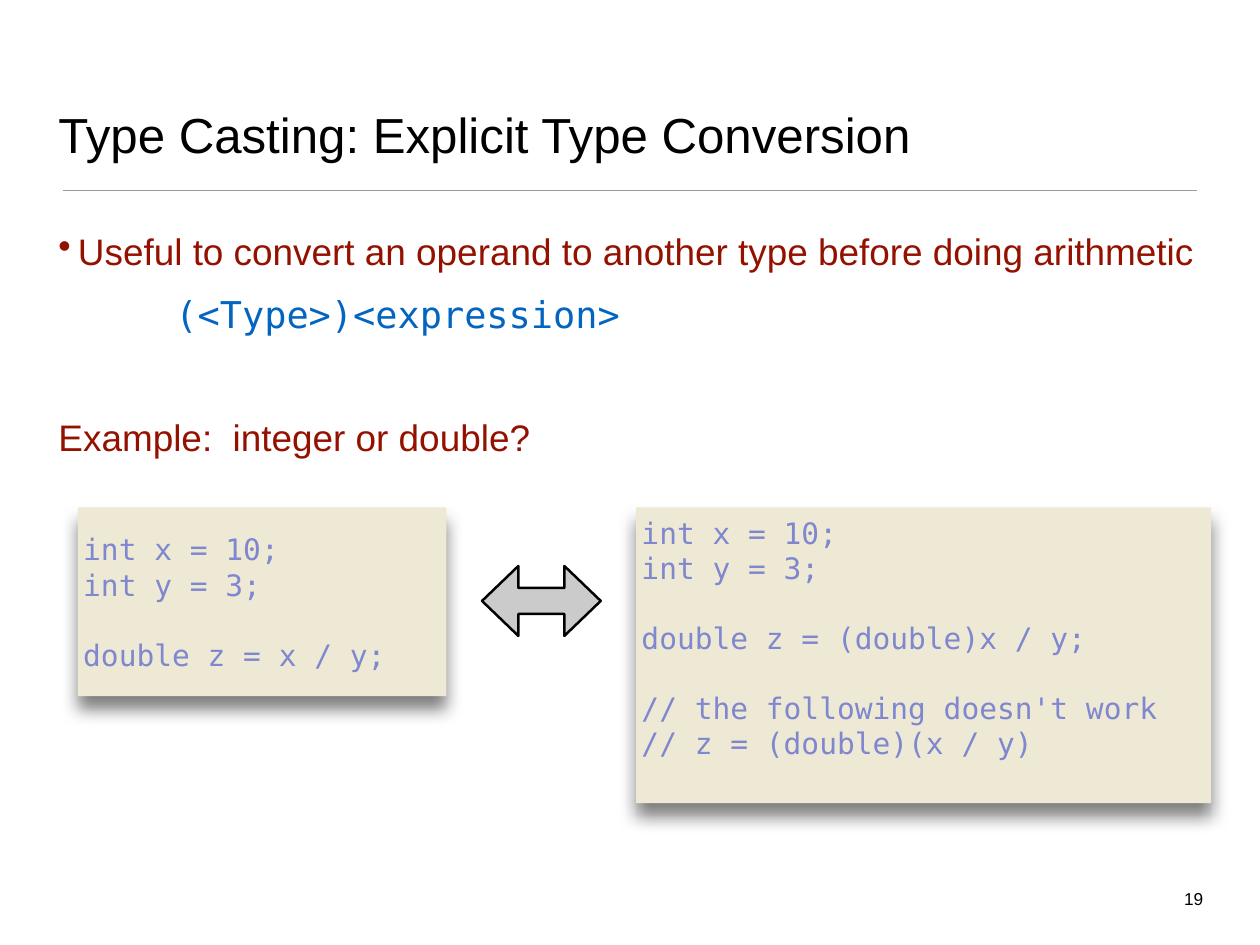
import pptx
import pptx.util
import pptx.dml.color
import pptx.enum.shapes
import pptx.enum.text
import pptx.oxml
import pptx.oxml.ns
from lxml import etree

Inches, Pt = pptx.util.Inches, pptx.util.Pt
RGB = pptx.dml.color.RGBColor.from_string
SHAPE = pptx.enum.shapes.MSO_SHAPE
ANCHOR = pptx.enum.text.MSO_ANCHOR
ALIGN = pptx.enum.text.PP_ALIGN
qn = pptx.oxml.ns.qn

TITLE = "Type Casting: Explicit Type Conversion"
PAGE = "19"
# text, style, left indent (in), bullet, space before (pt)
BODY = [
    ("Useful to convert an operand to another type before doing arithmetic",
     "body", 0.22, "\u2022", 15),
    ("(<Type>)<expression>", "syntax", 1.32, None, 15),
    ("Example:  integer or double?", "body", 0, None, 64.5),
]
# left, width, height, bottom inset, groups of code lines
PANELS = [
    (0.88, 4.16, 2.13, 0.06,
     [["int x = 10;", "int y = 3;"], ["double z = x / y;"]]),
    (7.18, 6.49, 3.34, 0.46,
     [["int x = 10;", "int y = 3;"], ["double z = (double)x / y;"],
      ["// the following doesn't work", "// z = (double)(x / y)"]]),
]
PANEL_TOP = 5.73
CODE_GAP = 28
THEME = {
    "title": ("Arial", 40, "000000"),
    "body": ("Arial", 30, "941100"),
    "syntax": ("DejaVu Sans Mono", 30, "0365C0"),
    "code": ("DejaVu Sans Mono", 24, "7F87CF"),
    "page": ("Arial", 14, "000000"),
    "panel": "EEE9D4", "arrow": "CBCBCB", "outline": "000000", "rule": "9A9A9A",
}


def assign(target, values):
    """Set attributes from a dict of format values."""
    for name, value in values.items():
        setattr(target, name, value)


def set_frame(sp, anchor, inset, bottom=None):
    """Prepare a wrapped text frame with equal insets and return it."""
    tf = sp.text_frame
    assign(tf, {"word_wrap": True, "vertical_anchor": anchor})
    for side in ("left", "top", "right", "bottom"):
        setattr(tf, "margin_" + side, Inches(inset))
    if bottom is not None:
        tf.margin_bottom = Inches(bottom)
    return tf


def add_line(tf, index, text, style, **paragraph):
    """Write one styled paragraph and return it."""
    p = tf.add_paragraph() if index else tf.paragraphs[0]
    assign(p, {"alignment": ALIGN.LEFT, **paragraph})
    r = p.add_run()
    r.text = text
    font, size, color = THEME[style]
    assign(r.font, {"name": font, "size": Pt(size)})
    r.font.color.rgb = RGB(color)
    return p


def add_text(s, box, anchor=ANCHOR.TOP):
    """Add a text box and return its frame."""
    return set_frame(s.shapes.add_textbox(*map(Inches, box)), anchor, 0.04)


def add_block(s, kind, box, fill, outline=None):
    """Add a filled preset shape, outlined only when a colour is given."""
    sp = s.shapes.add_shape(kind, *map(Inches, box))
    sp.shadow.inherit = False
    sp.fill.solid()
    sp.fill.fore_color.rgb = RGB(THEME[fill])
    if outline:
        sp.line.color.rgb = RGB(THEME[outline])
        sp.line.width = Pt(2)
    else:
        sp.line.fill.background()
    return sp


def add_shadow(sp):
    """Give a shape a soft shadow falling straight down."""
    effects = sp._element.spPr.find(qn("a:effectLst"))
    shadow = etree.SubElement(effects, qn("a:outerShdw"), blurRad=str(Pt(14)),
                              dist=str(Pt(11)), dir="5400000", rotWithShape="0")
    color = etree.SubElement(shadow, qn("a:srgbClr"), val="000000")
    etree.SubElement(color, qn("a:alpha"), val="50000")


def add_body(s):
    """Add the bullet, the cast syntax and the example question."""
    tf = add_text(s, (0.62, 2.54, 12.97, 7.18))
    for i, (text, style, indent, bullet, before) in enumerate(BODY):
        p = add_line(tf, i, text, style, space_before=Pt(before))
        pPr = p._p.get_or_add_pPr()
        pPr.set("marL", str(Inches(indent)))
        if bullet:
            pPr.set("indent", str(-Inches(indent)))
            etree.SubElement(pPr, qn("a:buChar"), char=bullet)


def add_panel(s, left, width, height, bottom, groups):
    """Add a shadowed code panel with a gap between groups of lines."""
    sp = add_block(s, SHAPE.RECTANGLE, (left, PANEL_TOP, width, height), "panel")
    add_shadow(sp)
    tf = set_frame(sp, ANCHOR.MIDDLE, 0.06, bottom)
    lines = [(text, CODE_GAP if g and not n else 0)
             for g, group in enumerate(groups) for n, text in enumerate(group)]
    for i, (text, gap) in enumerate(lines):
        add_line(tf, i, text, "code", space_before=Pt(gap))


def add_rule(s):
    """Add the thin line under the title."""
    rule = s.shapes.add_connector(pptx.enum.shapes.MSO_CONNECTOR.STRAIGHT,
                                  *map(Inches, (0.71, 2.15, 13.51, 2.15)))
    rule.line.color.rgb = RGB(THEME["rule"])
    rule.line.width = Pt(1)
    etree.SubElement(rule._element.spPr, qn("a:effectLst"))


prs = pptx.Presentation()
assign(prs, {"slide_width": Inches(14.22), "slide_height": Inches(10.67)})
s = prs.slides.add_slide(prs.slide_layouts[6])

add_line(add_text(s, (0.62, 0.36, 12.97, 1.53), ANCHOR.BOTTOM), 0, TITLE, "title")
add_body(s)
add_line(add_text(s, (13.31, 9.99, 0.31, 0.3)), 0, PAGE, "page",
         alignment=ALIGN.RIGHT)
add_rule(s)
for panel in PANELS:
    add_panel(s, *panel)
arrow = add_block(s, SHAPE.LEFT_RIGHT_ARROW, (5.44, 6.39, 1.34, 0.79),
                  "arrow", "outline")
for i, value in enumerate((0.37, 0.52)):
    arrow.adjustments[i] = value

prs.save("out.pptx")
